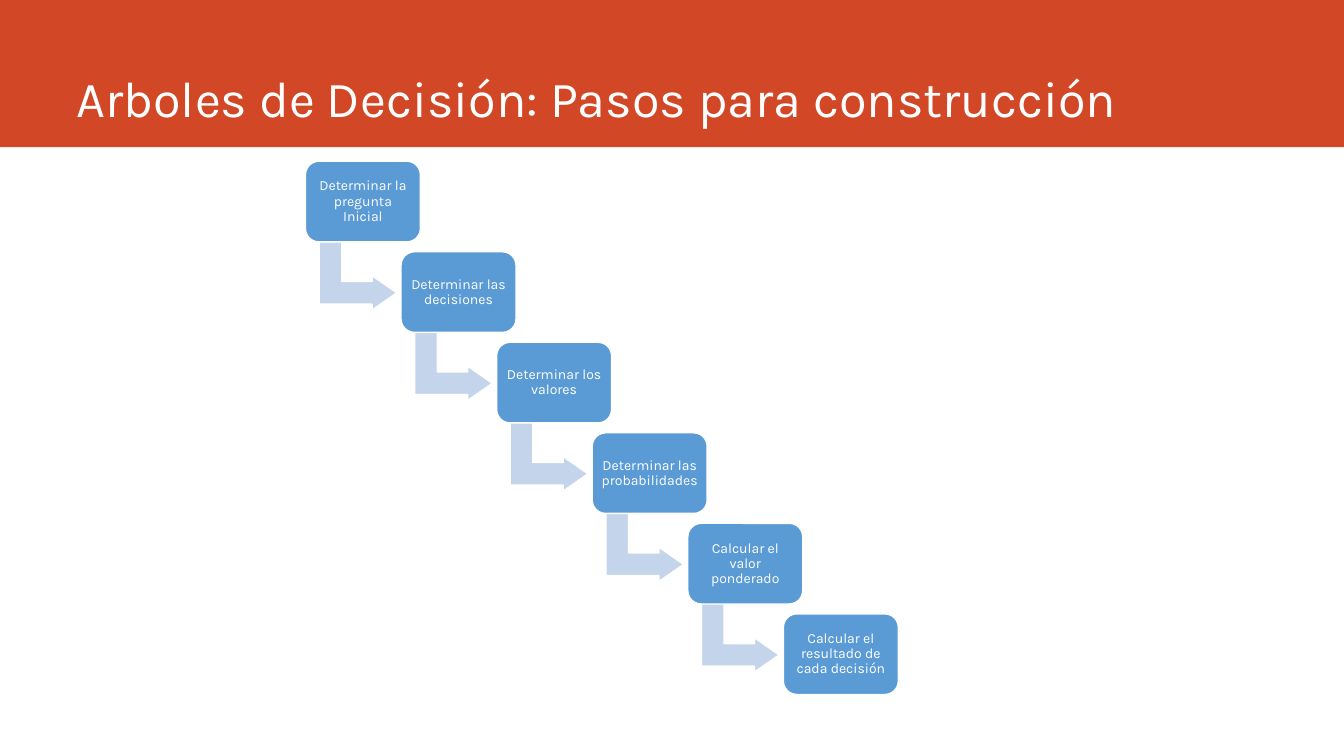
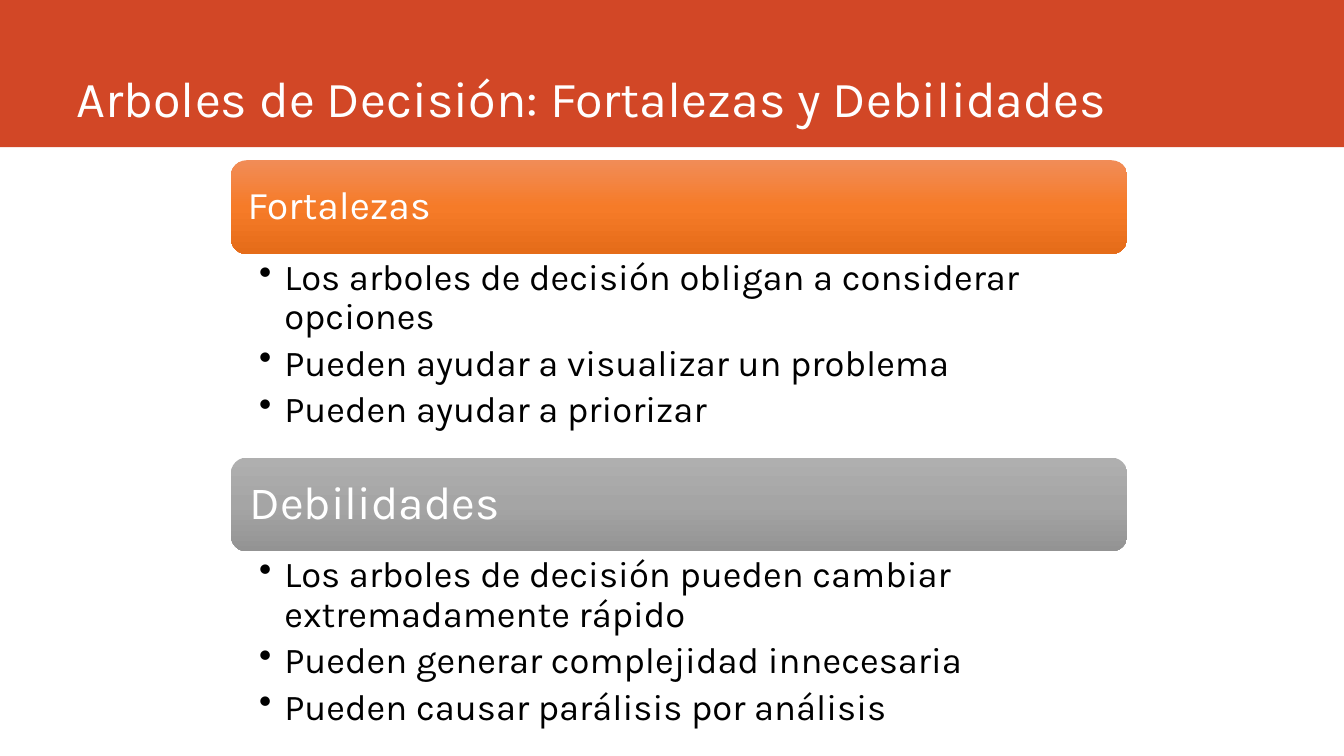
from copy import deepcopy

from lxml import etree
from pptx import Presentation
from pptx.dml.color import RGBColor
from pptx.enum.shapes import MSO_SHAPE
from pptx.enum.text import MSO_ANCHOR, PP_ALIGN
from pptx.oxml.ns import qn
from pptx.util import Pt

PX = 9144  # 100 px to the inch
PAGE_WIDTH, PAGE_HEIGHT = 1333, 750
BAND_HEIGHT = 146
FONT = "Karla"

WHITE = RGBColor(0xFF, 0xFF, 0xFF)
BLACK = RGBColor(0, 0, 0)
RED = RGBColor(0xD2, 0x47, 0x26)
BLUE = RGBColor(0x5B, 0x9B, 0xD5)
PALE_BLUE = RGBColor(0xC4, 0xD5, 0xEB)
ORANGES = [RGBColor(0xF1, 0x8C, 0x57), RGBColor(0xF6, 0x7B, 0x28), RGBColor(0xE5, 0x6C, 0x19)]
GREYS = [RGBColor(0xAF, 0xAF, 0xAF), RGBColor(0xA5, 0xA5, 0xA5), RGBColor(0x93, 0x93, 0x93)]

RECTANGLE = MSO_SHAPE.RECTANGLE
ROUNDED = MSO_SHAPE.ROUNDED_RECTANGLE
BENT_ARROW = MSO_SHAPE.BENT_UP_ARROW
LEFT, CENTER = PP_ALIGN.LEFT, PP_ALIGN.CENTER
TOP, MIDDLE, BOTTOM = MSO_ANCHOR.TOP, MSO_ANCHOR.MIDDLE, MSO_ANCHOR.BOTTOM

STEPS = [
    "Determinar la pregunta Inicial",
    "Determinar las decisiones",
    "Determinar los valores",
    "Determinar las probabilidades",
    "Calcular el valor ponderado",
    "Calcular el resultado de cada decisión",
]
# Heading, heading size, inset, bar colours, points
SECTIONS = [
    ("Fortalezas", 28, 12, ORANGES, [
        "Los arboles de decisión obligan a considerar opciones",
        "Pueden ayudar a visualizar un problema",
        "Pueden ayudar a priorizar",
    ]),
    ("Debilidades", 33, 14, GREYS, [
        "Los arboles de decisión pueden cambiar extremadamente rápido",
        "Pueden generar complejidad innecesaria",
        "Pueden causar parálisis por análisis",
    ]),
]


def scaled(box):
    return [round(length * PX) for length in box]


def add_shape(page, kind, box, color=None, outline=None):
    shape = page.shapes.add_shape(kind, *scaled(box))
    shape.shadow.inherit = False
    if color is not None:
        shape.fill.solid()
        shape.fill.fore_color.rgb = color
    if outline is None:
        shape.line.fill.background()
    else:
        shape.line.color.rgb = outline
        shape.line.width = Pt(1)
    return shape


def set_text(shape, lines, size, color, align=LEFT, anchor=MIDDLE,
             insets=(10, 5, 10, 5), spacing=0.9):
    frame = shape.text_frame
    frame.word_wrap = True
    frame.vertical_anchor = anchor
    (frame.margin_left, frame.margin_top,
     frame.margin_right, frame.margin_bottom) = scaled(insets)
    frame.text = "\n".join(lines)
    for para in frame.paragraphs:
        para.alignment = align
        para.line_spacing = spacing
        for span in para.runs:
            span.font.name = FONT
            span.font.size = Pt(size)
            span.font.color.rgb = color
    return frame


def add_bullet(para, indent):
    properties = para._p.get_or_add_pPr()
    properties.set("marL", str(indent * PX))
    properties.set("indent", str(-indent * PX))
    etree.SubElement(properties, qn("a:buChar")).set("char", "•")


def fill_gradient(shape, colors):
    """Spread the colours evenly from top to bottom."""
    shape.fill.gradient()
    shape.fill.gradient_angle = 270
    stop_list = shape._element.spPr.find(".//" + qn("a:gsLst"))
    while len(stop_list) < len(colors):
        stop_list.append(deepcopy(stop_list[0]))
    for index, stop in enumerate(shape.fill.gradient_stops):
        stop.position = index / (len(colors) - 1)
        stop.color.rgb = colors[index]


def add_page(deck, title):
    page = deck.slides.add_slide(deck.slide_layouts[6])
    add_shape(page, RECTANGLE, (0, 0, PAGE_WIDTH, BAND_HEIGHT), RED)
    title_box = page.shapes.add_textbox(*scaled((66, 0, 1176, 132)))
    set_text(title_box, [title], 36, WHITE, anchor=BOTTOM)
    return page


def add_staircase(page, box, steps):
    """Place the steps along the diagonal of the box, joined by bent arrows."""
    left, top, width, height = box
    step_width, step_height = 114, 80
    across = (width - step_width) / (len(steps) - 1)
    down = (height - step_height) / (len(steps) - 1)
    for index, label in enumerate(steps):
        x, y = left + index * across, top + index * down
        # Arrow to the next step
        if index < len(steps) - 1:
            arrow = add_shape(page, BENT_ARROW, (x + 18, y + 75, 68, 77), PALE_BLUE, WHITE)
            arrow.rotation = 90
            for position, value in enumerate((0.33, 0.25, 0.36)):
                arrow.adjustments[position] = value
        # Step
        step = add_shape(page, ROUNDED, (x, y, step_width, step_height), BLUE, WHITE)
        set_text(step, [label], 10, WHITE, CENTER, insets=(4, 4, 4, 4))


def add_section(page, box, section):
    """Place a heading bar with its bulleted points below."""
    left, top, width, height = box
    heading, size, inset, colors, points = section
    bar_height = 93
    # Heading bar
    bar = add_shape(page, ROUNDED, (left, top, width, bar_height))
    fill_gradient(bar, colors)
    set_text(bar, [heading], size, WHITE, insets=(inset,) * 4)
    # Points
    body = page.shapes.add_textbox(
        *scaled((left, top + bar_height, width, height - bar_height)))
    frame = set_text(body, points, 26, BLACK, anchor=TOP, insets=(28, 5, 26, 5))
    for para in frame.paragraphs:
        para.space_after = Pt(5.2)
        add_bullet(para, 25)


def main():
    deck = Presentation()
    deck.slide_width, deck.slide_height = scaled((PAGE_WIDTH, PAGE_HEIGHT))

    page = add_page(deck, "Arboles de Decisión: Pasos para construcción")
    add_staircase(page, (303, 160, 588, 529), STEPS)

    page = add_page(deck, "Arboles de Decisión: Fortalezas y Debilidades")
    section_height = 295
    for index, section in enumerate(SECTIONS):
        add_section(page, (229, 159 + index * section_height, 889, section_height), section)

    deck.save("out.pptx")


if __name__ == "__main__":
    main()
